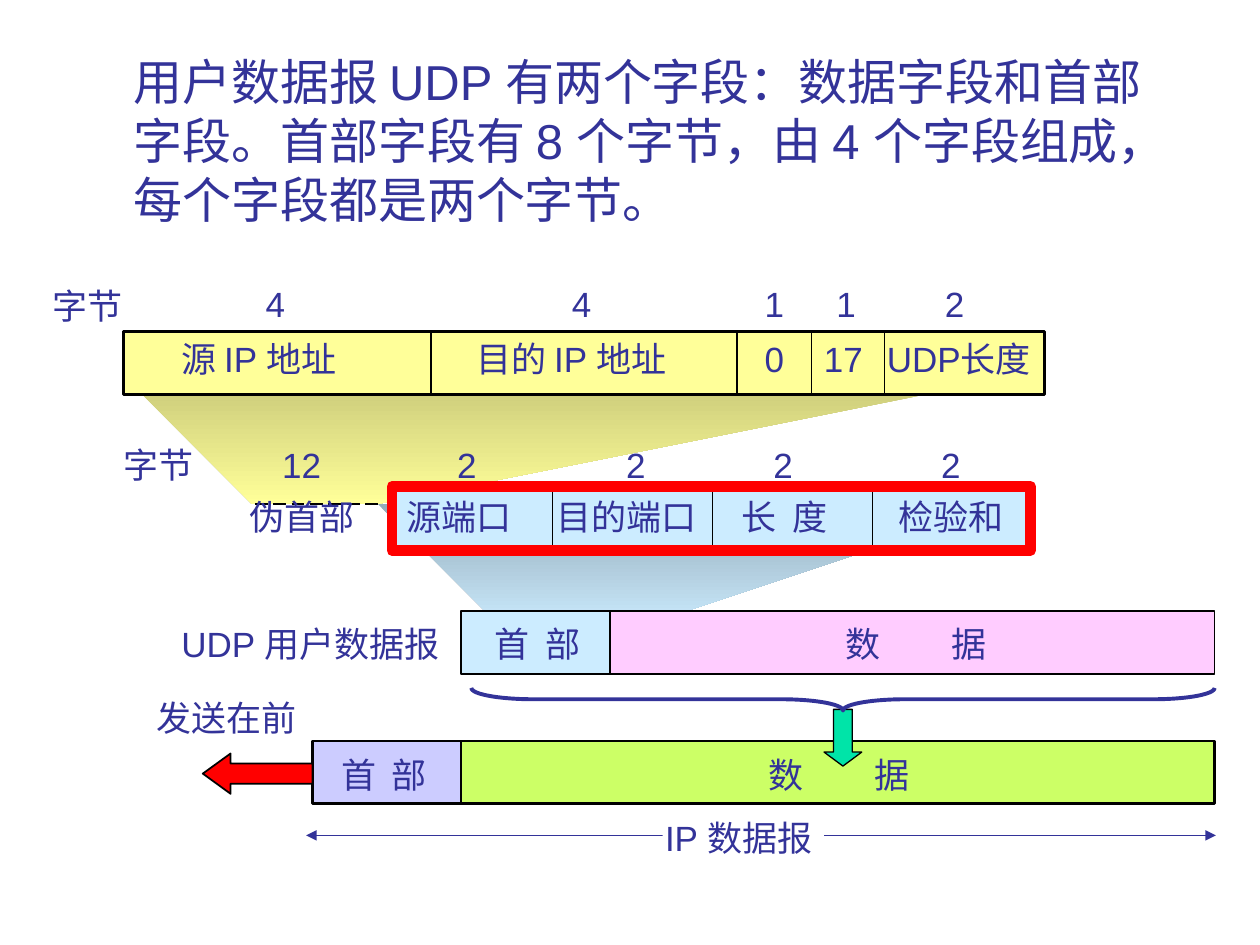
"""Build the slide on the fields of a UDP datagram and its pseudo header."""
import dataclasses
import typing

import lxml.etree
import pptx
import pptx.dml.color
import pptx.enum.dml
import pptx.enum.shapes
import pptx.enum.text
import pptx.oxml.ns
import pptx.util

Inches = pptx.util.Inches
Pt = pptx.util.Pt
Kind = pptx.enum.shapes.MSO_SHAPE
HUES = {
    "ink": "333399", "black": "000000", "white": "FFFFFF", "red": "FF0000",
    "lilac": "CCCCFF", "sky": "CCECFF", "lime": "CCFF66", "cream": "FFFF99",
    "pink": "FFCCFF", "green": "00E4A8", "dusk": "94ABB9", "olive": "C9C979",
}
FONT = {"name": "Arial", "size": Pt(20), "bold": False}
FRAME = {
    "margin_left": Inches(0.1), "margin_right": Inches(0.1),
    "margin_top": Inches(0.05), "margin_bottom": Inches(0.05),
    "vertical_anchor": pptx.enum.text.MSO_ANCHOR.TOP,
    "auto_size": pptx.enum.text.MSO_AUTO_SIZE.NONE,
}
INTRO = ("用户数据报 UDP 有两个字段：数据字段和首部字段。"
         "首部字段有 8 个字节，由 4 个字段组成，每个字段都是两个字节。")
HIGH = 0.5


@dataclasses.dataclass
class Box:
    left: float
    top: float
    width: float
    height: float = HIGH
    fill: typing.Optional[str] = None
    edge: typing.Optional[str] = "black"
    weight: float = 1
    kind: typing.Any = Kind.RECTANGLE
    bends: tuple = ()
    turn: float = 0


@dataclasses.dataclass
class Cone:
    points: list
    dark: str
    light: str


class Label(typing.NamedTuple):
    text: str
    left: float
    width: float
    tab: float = 0


def hue(name: str) -> pptx.dml.color.RGBColor:
    """Return the named colour."""
    return pptx.dml.color.RGBColor.from_string(HUES[name])


def paint(shape, fill, edge, weight) -> None:
    """Set fill and outline, leaving out whichever is None."""
    shape.shadow.inherit = False
    for form, name in ((shape.fill, fill), (shape.line.fill, edge)):
        if name:
            form.solid()
            form.fore_color.rgb = hue(name)
        else:
            form.background()
    if edge:
        shape.line.width = Pt(weight)


def draw_box(slide, box: Box):
    """Draw one preset shape."""
    place = map(Inches, (box.left, box.top, box.width, box.height))
    shape = slide.shapes.add_shape(box.kind, *place)
    for index, bend in enumerate(box.bends):
        shape.adjustments[index] = bend
    shape.rotation = box.turn
    paint(shape, box.fill, box.edge, box.weight)
    return shape


def draw_path(slide, points: list, close: bool):
    """Draw a freeform through points given in inches."""
    form = slide.shapes.build_freeform(*points[0], scale=Inches(1))
    form.add_line_segments(points[1:], close=close)
    return form.convert_to_shape()


def draw_cone(slide, cone: Cone) -> None:
    """Draw a shaded area that joins a field to its detail."""
    shape = draw_path(slide, cone.points, True)
    paint(shape, None, None, 0)
    shape.fill.gradient()
    shape.fill.gradient_angle = 270
    for stop, name, spot in zip(shape.fill.gradient_stops, (cone.dark, cone.light), (0, 1)):
        stop.color.rgb = hue(name)
        stop.position = spot


def draw_line(slide, start: tuple, end: tuple, name: str):
    """Draw a thin straight connector."""
    line = slide.shapes.add_connector(
        pptx.enum.shapes.MSO_CONNECTOR.STRAIGHT, *map(Inches, start + end))
    line.line.color.rgb = hue(name)
    line.line.width = Pt(0.75)
    lxml.etree.SubElement(line._element.spPr, pptx.oxml.ns.qn("a:effectLst"))
    return line


def draw_row(slide, box: Box, cuts: list) -> None:
    """Draw a row of fields split at the given places."""
    shape = draw_box(slide, box)
    for cut in cuts:
        line = draw_line(slide, (cut, box.top), (cut, box.top + box.height), "black")
        if abs(cut - box.left - box.width / 2) < 0.01:
            line.begin_connect(shape, 0)
            line.end_connect(shape, 2)


def write(shape, text: str, size: float = 20, tab: float = 0) -> None:
    """Put formatted text in a shape."""
    frame = shape.text_frame
    for key, value in FRAME.items():
        setattr(frame, key, value)
    para = frame.paragraphs[0]
    para.alignment = pptx.enum.text.PP_ALIGN.LEFT
    if tab:
        stops = lxml.etree.SubElement(para._p.get_or_add_pPr(), pptx.oxml.ns.qn("a:tabLst"))
        lxml.etree.SubElement(stops, pptx.oxml.ns.qn("a:tab"), pos=str(Inches(tab)), algn="l")
    run = para.add_run()
    run.text = text
    for key, value in {**FONT, "size": Pt(size)}.items():
        setattr(run.font, key, value)
    run.font.color.rgb = hue("ink")


def draw_label(slide, label: Label, top: float) -> None:
    """Draw one label, with room to spare when it holds a tab."""
    room = label.width + (0.1 if label.tab else 0)
    shape = slide.shapes.add_textbox(*map(Inches, (label.left, top, room, 0.44)))
    shape.text_frame.word_wrap = bool(label.tab)
    write(shape, label.text, tab=label.tab)


ROWS = [
    (Box(0.98, 2.63, 7.31, fill="cream", weight=1.5), [3.42, 5.85, 6.44, 7.02]),
    (Box(3.12, 3.88, 5.07, fill="sky", weight=1.5),
     [3.12 + 5.07 * part / 4 for part in (1, 2, 3)]),
]
CONES = [
    Cone([(3.12, 4.38), (8.18, 4.38), (4.97, 4.85), (3.72, 4.85)], "dusk", "sky"),
    Cone([(0.97, 3.13), (8.28, 3.13), (3.12, 3.88), (1.75, 3.88)], "olive", "cream"),
]
BOXES = [
    Box(3.66, 4.85, 1.18, fill="sky"),
    Box(4.84, 4.85, 4.8, fill="pink"),
    Box(3.66, 5.88, 5.98, fill="lime", weight=1.5),
    Box(2.48, 5.88, 1.18, fill="lilac", weight=1.5),
    Box(1.61, 5.98, 0.87, 0.32, "red", kind=Kind.LEFT_ARROW, bends=(0.5, 0.69)),
]
MARKS = [
    Box(3.11, 3.86, 5.07, 0.51, edge="red", weight=6),
    Box(6.54, 5.63, 0.3, 0.45, "green", weight=0.75, kind=Kind.DOWN_ARROW, bends=(0.5, 0.37)),
    Box(6.6, 2.6, 0.18, 5.9, edge="ink", weight=2.25, kind=Kind.RIGHT_BRACE,
        bends=(2.72, 0.5), turn=90),
]
LABELS = {
    2.21: [Label("字节", 0.32, 0.75)],
    2.19: [Label(text, left, 0.35) for text, left in
           (("4", 2.01), ("4", 4.44), ("1", 5.97), ("1", 6.54), ("2", 7.4))],
    2.63: [Label("源 IP 地址", 1.34, 1.57), Label("目的 IP 地址", 3.68, 1.85),
           Label("0", 5.97, 0.35), Label("17", 6.44, 0.51), Label("UDP长度", 6.94, 1.41)],
    3.47: [Label("字节", 0.88, 0.75), Label("12", 2.14, 0.51)]
          + [Label("2", left, 0.35) for left in (3.53, 4.87, 6.04, 7.37)],
    3.88: [Label("伪首部", 1.88, 1.03), Label("源端口", 3.13, 1.03),
           Label("目的端口", 4.32, 1.31), Label("长\t度", 5.79, 0.88, 0.4),
           Label("检验和", 7.03, 1.03)],
    4.89: [Label("UDP 用户数据报", 1.34, 2.32), Label("首\t部", 3.83, 0.88, 0.4),
           Label("数\t据", 6.61, 1.32, 0.84)],
    5.48: [Label("发送在前", 1.14, 1.31)],
    5.93: [Label("首\t部", 2.61, 0.88, 0.4), Label("数\t据", 6, 1.32, 0.84)],
    6.43: [Label("IP 数据报", 5.18, 1.44)],
}


def main() -> None:
    """Build and save the slide."""
    deck = pptx.Presentation()
    deck.slide_width, deck.slide_height = Inches(10), Inches(7.5)
    slide = deck.slides.add_slide(deck.slide_layouts[5])
    title = slide.shapes.title
    title.left, title.top, title.width, title.height = map(Inches, (0.96, 0.36, 8.53, 1.5))
    title.text_frame.word_wrap = True
    write(title, INTRO, 28)
    for cone in CONES:
        draw_cone(slide, cone)
    for row, cuts in ROWS:
        draw_row(slide, row, cuts)
    pseudo = draw_path(slide, [(3.12, 4.38), (1.75, 4.38), (1.75, 3.88), (3.12, 3.88)], False)
    paint(pseudo, "cream", "black", 1.5)
    pseudo.line.dash_style = pptx.enum.dml.MSO_LINE.DASH
    for box in BOXES:
        draw_box(slide, box)
    span = draw_line(slide, (2.43, 6.63), (9.65, 6.63), "ink")
    for end in ("a:headEnd", "a:tailEnd"):
        lxml.etree.SubElement(span.line._get_or_add_ln(), pptx.oxml.ns.qn(end), type="triangle")
    draw_box(slide, Box(5.26, 6.46, 1.28, 0.32, "white", None))
    for top, labels in LABELS.items():
        for label in labels:
            draw_label(slide, label, top)
    for mark in MARKS:
        draw_box(slide, mark)
    deck.save("out.pptx")


if __name__ == "__main__":
    main()
